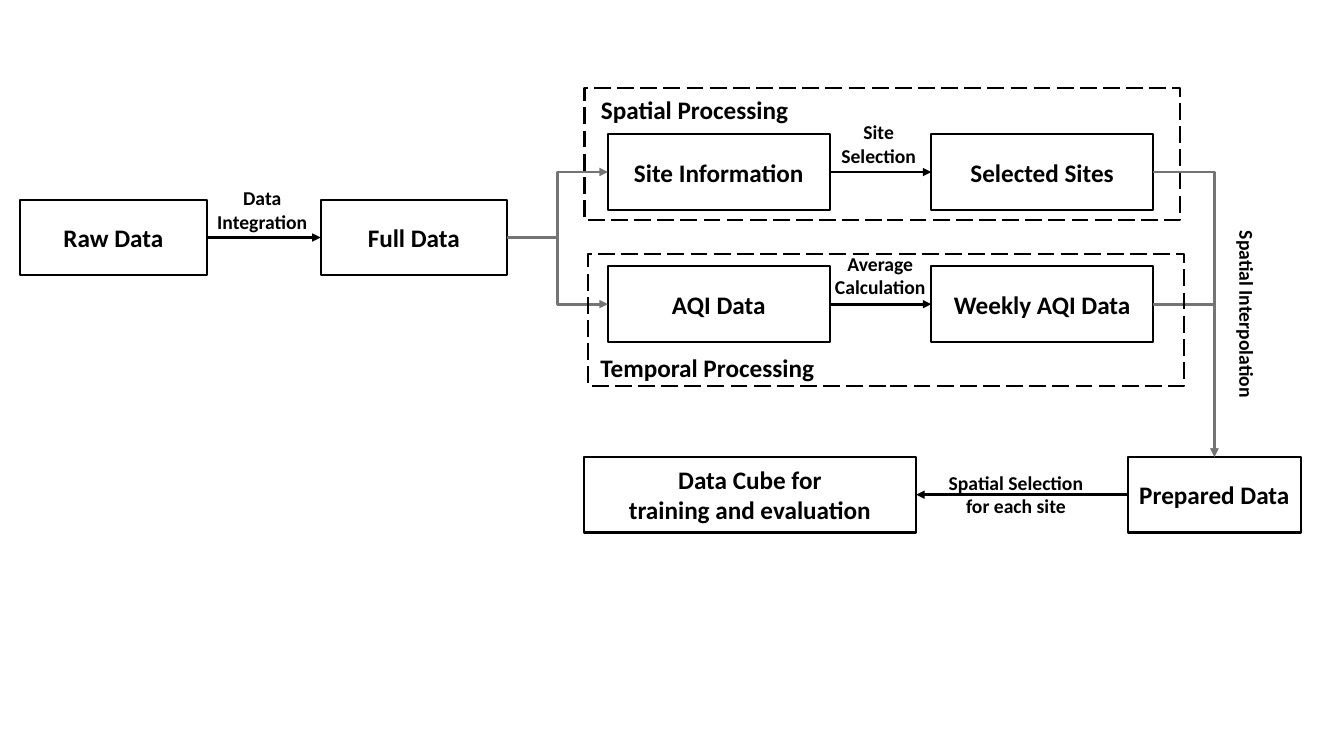
"""Build a flow chart of spatial and temporal data preparation."""
from lxml.etree import SubElement
from pptx import Presentation
from pptx.dml.color import RGBColor
from pptx.enum.dml import MSO_LINE
from pptx.enum.shapes import MSO_CONNECTOR, MSO_SHAPE
from pptx.enum.text import MSO_ANCHOR, PP_ALIGN
from pptx.oxml.ns import qn
from pptx.util import Cm, Pt

COLORS = {"ink": "000000", "paper": "FFFFFF", "grey": "747474"}
FONT = "Calibri"
HIGH = 1.91
TOP, MID, LOW, END = 3.38, 5.03, 6.71, 11.51

BOXES = {
    "raw": ("Raw Data", 0.51, MID, 4.7),
    "full": ("Full Data", 8.08, MID, 4.7),
    "site": ("Site Information", 15.32, TOP, 5.59),
    "aqi": ("AQI Data", 15.32, LOW, 5.59),
    "weekly": ("Weekly AQI Data", 23.47, LOW, 5.59),
    "chosen": ("Selected Sites", 23.47, TOP, 5.59),
    "ready": ("Prepared Data", 28.42, END, 4.37),
    "cube": ("Data Cube for\ntraining and evaluation", 14.71, END, 8.38),
}
LINKS = [
    ("raw", 3, "full", 1, "line"),
    ("full", 3, "site", 1, "bentConnector3"),
    ("full", 3, "aqi", 1, "bentConnector3"),
    ("site", 3, "chosen", 1, "line"),
    ("aqi", 3, "weekly", 1, "line"),
    ("chosen", 3, "ready", 0, "bentConnector2"),
    ("weekly", 3, "ready", 0, "bentConnector2"),
    ("ready", 1, "cube", 3, "line"),
]
FRAMES = [(14.73, 2.21), (14.83, 6.4)]
FRAME_SIZE = (15.01, 3.33)
LABELS = [
    ("Data\nIntegration", 5.11, 4.57, 3.0, 1.45, 14, 0),
    ("Site\nSelection", 20.9, 2.9, 2.49, 1.45, 14, 0),
    ("Average\nCalculation", 20.7, 6.22, 2.97, 1.45, 14, 0),
    ("Spatial Interpolation", 28.98, 7.49, 4.88, 0.86, 14, 90),
    ("Spatial Processing", 14.71, 2.26, 5.59, 1.02, 18, 0),
    ("Temporal Processing", 14.83, 8.76, 5.99, 1.02, 18, 0),
    ("Spatial Selection\nfor each site", 23.42, 11.73, 4.37, 1.45, 14, 0),
]


def tint(name):
    return RGBColor.from_string(COLORS[name])


def write(shape, text, size):
    frame = shape.text_frame
    frame.word_wrap = False
    frame.text = text
    for para in frame.paragraphs:
        para.alignment = PP_ALIGN.CENTER
        for run in para.runs:
            font = run.font
            font.name, font.size, font.bold = FONT, Pt(size), True
            font.color.rgb = tint("ink")


def add_rect(slide, *place):
    rect = slide.shapes.add_shape(MSO_SHAPE.RECTANGLE, *map(Cm, place))
    rect.shadow.inherit = False
    rect.line.color.rgb = tint("ink")
    rect.line.width = Pt(1.5)
    return rect


def add_box(slide, text, left, top, width):
    box = add_rect(slide, left, top, width, HIGH)
    box.fill.solid()
    box.fill.fore_color.rgb = tint("paper")
    box.text_frame.vertical_anchor = MSO_ANCHOR.MIDDLE
    write(box, text, 18)
    return box


def add_link(slide, start, out, stop, into, shape):
    plain = shape == "line"
    kind = MSO_CONNECTOR.STRAIGHT if plain else MSO_CONNECTOR.ELBOW
    link = slide.shapes.add_connector(kind, 0, 0, 0, 0)
    link.begin_connect(start, out)
    link.end_connect(stop, into)
    link.line.color.rgb = tint("ink" if plain else "grey")
    link.line.width = Pt(2)
    props = link.element.spPr
    props.find(qn("a:prstGeom")).set("prst", shape)
    SubElement(props.find(qn("a:ln")), qn("a:tailEnd"), type="triangle")
    SubElement(props, qn("a:effectLst"))


def main():
    deck = Presentation()
    deck.slide_width, deck.slide_height = Cm(33.87), Cm(19.05)
    slide = deck.slides.add_slide(deck.slide_layouts[6])
    boxes = {key: add_box(slide, *data) for key, data in BOXES.items()}
    for start, out, stop, into, shape in LINKS:
        add_link(slide, boxes[start], out, boxes[stop], into, shape)
    for spot in FRAMES:
        frame = add_rect(slide, *spot, *FRAME_SIZE)
        frame.fill.background()
        frame.line.dash_style = MSO_LINE.LONG_DASH
    for text, left, top, width, height, size, turn in LABELS:
        label = slide.shapes.add_textbox(*map(Cm, (left, top, width, height)))
        label.rotation = turn
        write(label, text, size)
    deck.save("out.pptx")


if __name__ == "__main__":
    main()
